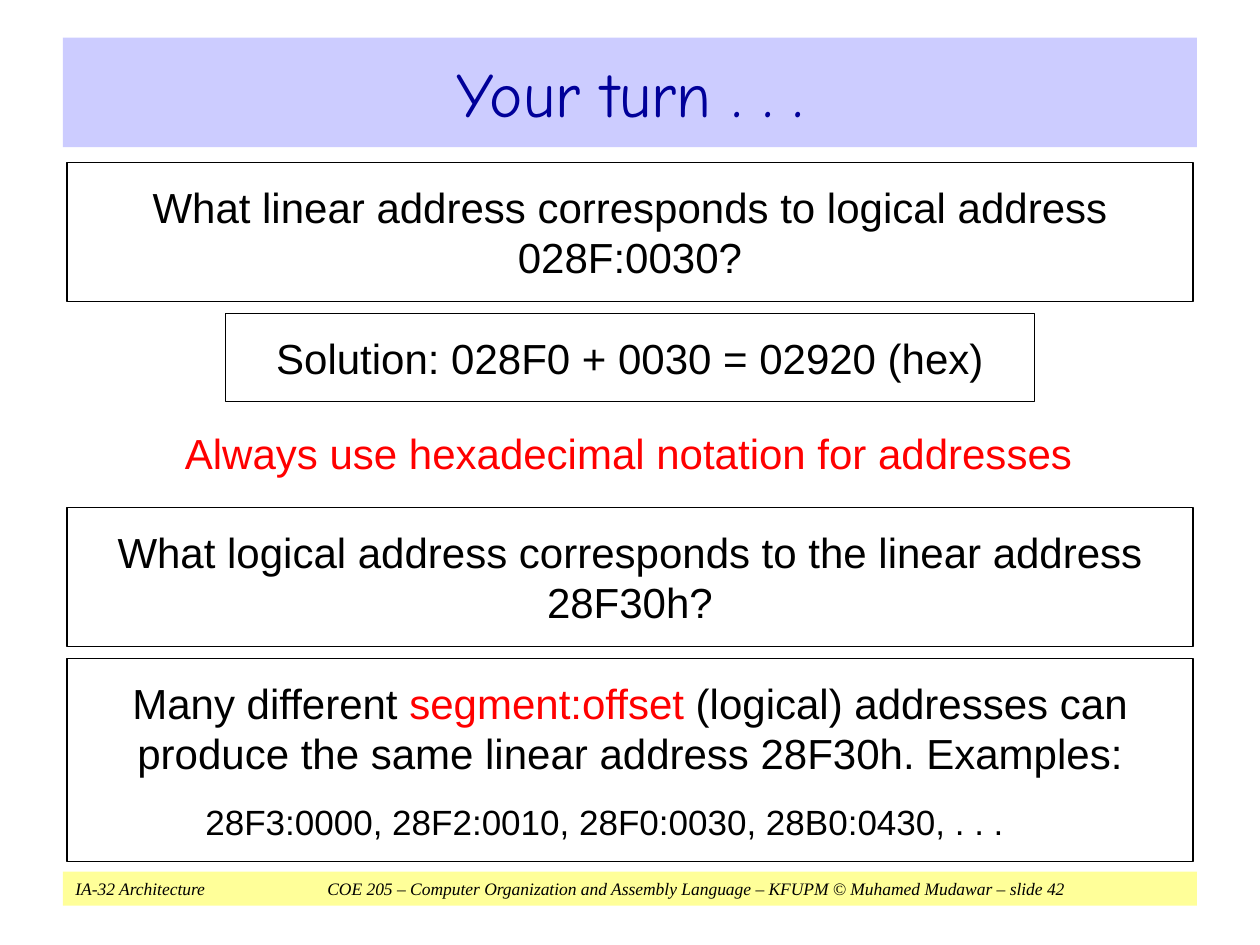
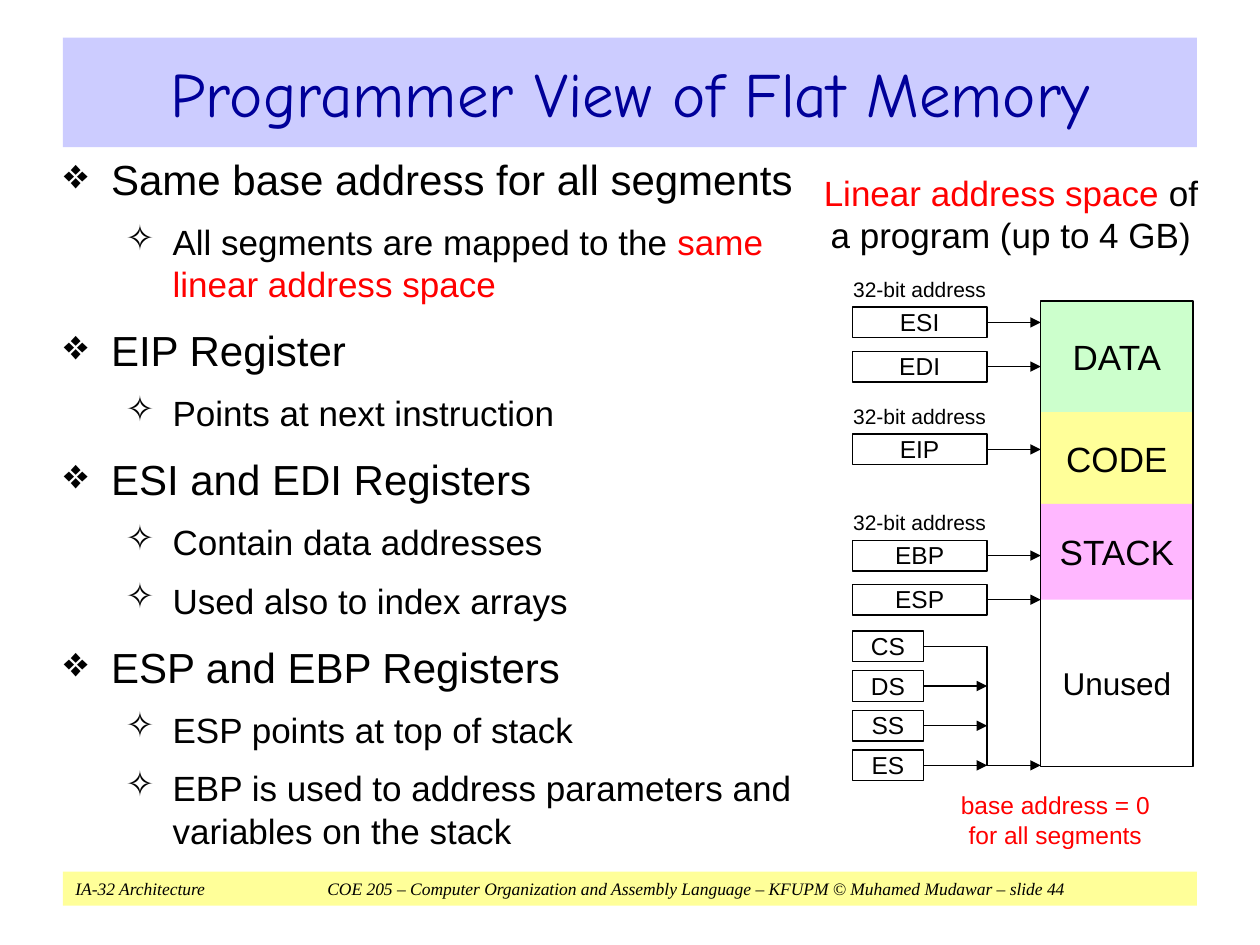
from dataclasses import dataclass

from lxml.etree import SubElement
from pptx import Presentation
from pptx.dml.color import RGBColor as Rgb
from pptx.enum.shapes import MSO_CONNECTOR as Connector, MSO_SHAPE as Shape
from pptx.enum.text import MSO_ANCHOR as Anchor, PP_ALIGN as Align
from pptx.oxml.ns import qn
from pptx.util import Cm, Pt


@dataclass(frozen=True)
class Theme:
    ink: Rgb = Rgb(0, 0, 0)
    accent: Rgb = Rgb(0xFF, 0, 0)
    title_ink: Rgb = Rgb(0, 0, 0x99)
    title_band: Rgb = Rgb(0xCC, 0xCC, 0xFF)
    yellow: Rgb = Rgb(0xFF, 0xFF, 0x99)
    green: Rgb = Rgb(0xCC, 0xFF, 0xCC)
    pink: Rgb = Rgb(0xFF, 0xB7, 0xFF)
    body_font: str = "Arial"
    title_font: str = "Comic Neue"
    footer_font: str = "Times New Roman"
    title_size: int = 36
    large: int = 24
    medium: int = 20
    normal: int = 18
    small: int = 14
    caption: int = 12
    footer_size: int = 10
    leading: float = 1.2
    line: float = 0.75


theme = Theme()


def write(paragraph, text, size, align=Align.CENTER, before=0):
    paragraph.alignment = align
    paragraph.line_spacing = Pt(size * theme.leading)
    paragraph.space_before = Pt(before)
    paragraph.font.name = theme.body_font
    paragraph.font.size = Pt(size)
    for index, part in enumerate(text.split("*")):
        if part:
            run = paragraph.add_run()
            run.text = part
            run.font.color.rgb = theme.accent if index % 2 else theme.ink


def box(slide, left, top, width, height, text="", size=theme.large, fill=None,
        outlined=False, anchor=Anchor.TOP, margins=(0.25, 0.38)):
    place = Cm(left), Cm(top), Cm(width), Cm(height)
    if fill or outlined:
        shape = slide.shapes.add_shape(Shape.RECTANGLE, *place)
        shape.shadow.inherit = False
        shape.fill.background()
        shape.line.fill.background()
    else:
        shape = slide.shapes.add_textbox(*place)
    if fill:
        shape.fill.solid()
        shape.fill.fore_color.rgb = fill
    if outlined:
        shape.line.color.rgb = theme.ink
        shape.line.width = Pt(theme.line)
    frame = shape.text_frame
    frame.word_wrap = True
    frame.vertical_anchor = anchor
    frame.margin_left = frame.margin_right = Cm(margins[0])
    frame.margin_top = frame.margin_bottom = Cm(margins[1])
    if text:
        write(frame.paragraphs[0], text, size)
    return shape


prs = Presentation()
prs.slide_width, prs.slide_height = Cm(25.4), Cm(19.05)
pages = []
for title, number in (("Your turn . . .", 42), ("Programmer View of Flat Memory", 44)):
    slide = prs.slides.add_slide(prs.slide_layouts[6])
    pages.append(slide)

    footer = box(slide, 1.27, 17.57, 22.86, 0.69, fill=theme.yellow, margins=(0.25, 0.13))
    credit = footer.text_frame.paragraphs[0]
    tabs = SubElement(credit._p.get_or_add_pPr(), qn("a:tabLst"))
    for stop in (5.08, 15.27):
        SubElement(tabs, qn("a:tab"), pos=str(Cm(stop)), algn="l")
    write(credit, "IA-32 Architecture\tCOE 205 – Computer Organization and Assembly Language – KFUPM"
          f"\t© Muhamed Mudawar – slide {number}", theme.footer_size, Align.LEFT)
    credit.font.name = theme.footer_font
    credit.font.italic = True

    band = box(slide, 1.27, 0.76, 22.86, 2.21, fill=theme.title_band, anchor=Anchor.MIDDLE,
               margins=(0.25, 0.13))
    heading = band.text_frame.paragraphs[0]
    heading.text = title
    heading.alignment = Align.CENTER
    heading.font.name = theme.title_font
    heading.font.size = Pt(theme.title_size)
    heading.font.color.rgb = theme.title_ink

quiz, memory_view = pages

for left, top, width, height, text, outlined in (
    (1.35, 3.28, 22.7, 2.8, "What linear address corresponds to logical address 028F:0030?", True),
    (4.54, 6.32, 16.32, 1.78, "Solution: 028F0 + 0030 = 02920 (hex)", True),
    (3.36, 8.23, 18.62, 1.78, "*Always use hexadecimal notation for addresses*", False),
    (1.35, 10.23, 22.7, 2.8, "What logical address corresponds to the linear address 28F30h?", True),
    (1.35, 13.28, 22.7, 4.09, "Many different *segment:offset* (logical) addresses can produce "
     "the same linear address 28F30h. Examples:", True),
):
    answer = box(quiz, left, top, width, height, text, outlined=outlined)
examples = answer.text_frame.add_paragraph()
examples._p.get_or_add_pPr().set("marL", str(Cm(2.54)))
write(examples, "28F3:0000, 28F2:0010, 28F0:0030, 28B0:0430, . . .", theme.medium, Align.LEFT, 12.5)

outline = (
    (0, "Same base address for all segments"),
    (1, "All segments are mapped to the *same linear address space*"),
    (0, "EIP Register"),
    (1, "Points at next instruction"),
    (0, "ESI and EDI Registers"),
    (1, "Contain data addresses"),
    (1, "Used also to index arrays"),
    (0, "ESP and EBP Registers"),
    (1, "ESP points at top of stack"),
    (1, "EBP is used to address parameters and variables on the stack"),
)
levels = (
    ("❖", 0.97, theme.large, 11.4),
    ("✧", 2.21, theme.medium, 9.5),
)
notes = box(memory_view, 1.27, 2.97, 14.96, 14.5, margins=(0, 0.13)).text_frame
for index, (level, text) in enumerate(outline):
    bullet, indent, size, before = levels[level]
    point = notes.add_paragraph() if index else notes.paragraphs[0]
    point.level = level
    properties = point._p.get_or_add_pPr()
    properties.set("marL", str(Cm(indent)))
    properties.set("indent", str(Cm(-0.95)))
    SubElement(properties, qn("a:buChar"), char=bullet)
    write(point, text, size, Align.LEFT, before if index else 0)

box(memory_view, 16.38, 3.45, 8, 1.75, "*Linear address space* of a program (up to 4 GB)",
    theme.medium, margins=(0, 0))

memory_left, memory_width = 20.98, 3.07
memory_top = segment_top = 6.07
for name, height, fill, size in (
    ("DATA", 2.24, theme.green, theme.medium),
    ("CODE", 1.85, theme.yellow, theme.medium),
    ("STACK", 1.93, theme.pink, theme.medium),
    ("Unused", 3.36, None, theme.normal),
):
    box(memory_view, memory_left, segment_top, memory_width, height, name, size, fill,
        anchor=Anchor.MIDDLE, margins=(0.1, 0.25))
    segment_top += height
box(memory_view, memory_left, memory_top, memory_width, segment_top - memory_top, outlined=True)

register_left, register_width, register_height = 17.18, 2.72, 0.62
bus_x = register_left + register_width
sources = []
for group_top, names in ((6.19, ("ESI", "EDI")), (8.75, ("EIP",)), (10.89, ("EBP", "ESP"))):
    box(memory_view, register_left, group_top - 0.61, register_width, 0.61, "32-bit address",
        theme.caption, margins=(0, 0))
    for row, name in enumerate(names):
        sources.append((name, group_top + 0.89 * row, register_width, memory_left))
for row, name in enumerate(("CS", "DS", "SS", "ES")):
    sources.append((name, 12.72 + 0.8 * row, 1.44, bus_x))

arrows = []
for name, top, width, target in sources:
    register = box(memory_view, register_left, top, width, register_height, name, theme.small,
                   outlined=True, margins=(0.1, 0))
    middle = top + register_height / 2
    if name == "CS":
        bus_start = register_left + width, middle
        continue
    pointer = memory_view.shapes.add_connector(
        Connector.STRAIGHT, Cm(register_left + width), Cm(middle), Cm(target), Cm(middle))
    pointer.begin_connect(register, 3)
    SubElement(pointer._element.spPr, qn("a:effectLst"))
    arrows.append(pointer)

path_builder = memory_view.shapes.build_freeform(*map(Cm, bus_start))
path_builder.add_line_segments(
    [(Cm(x), Cm(y)) for x, y in ((bus_x, bus_start[1]), (bus_x, middle), (memory_left, middle))],
    close=False)
base_bus = path_builder.convert_to_shape()
base_bus.shadow.inherit = False
base_bus.fill.background()
arrows.append(base_bus)

for arrow in arrows:
    arrow.line.color.rgb = theme.ink
    arrow.line.width = Pt(theme.line)
    SubElement(arrow.line._get_or_add_ln(), qn("a:tailEnd"), type="triangle")

box(memory_view, 18.95, 15.93, 4.65, 1.27, "*base address = 0 for all segments*", theme.small,
    margins=(0.25, 0))

prs.save("out.pptx")
